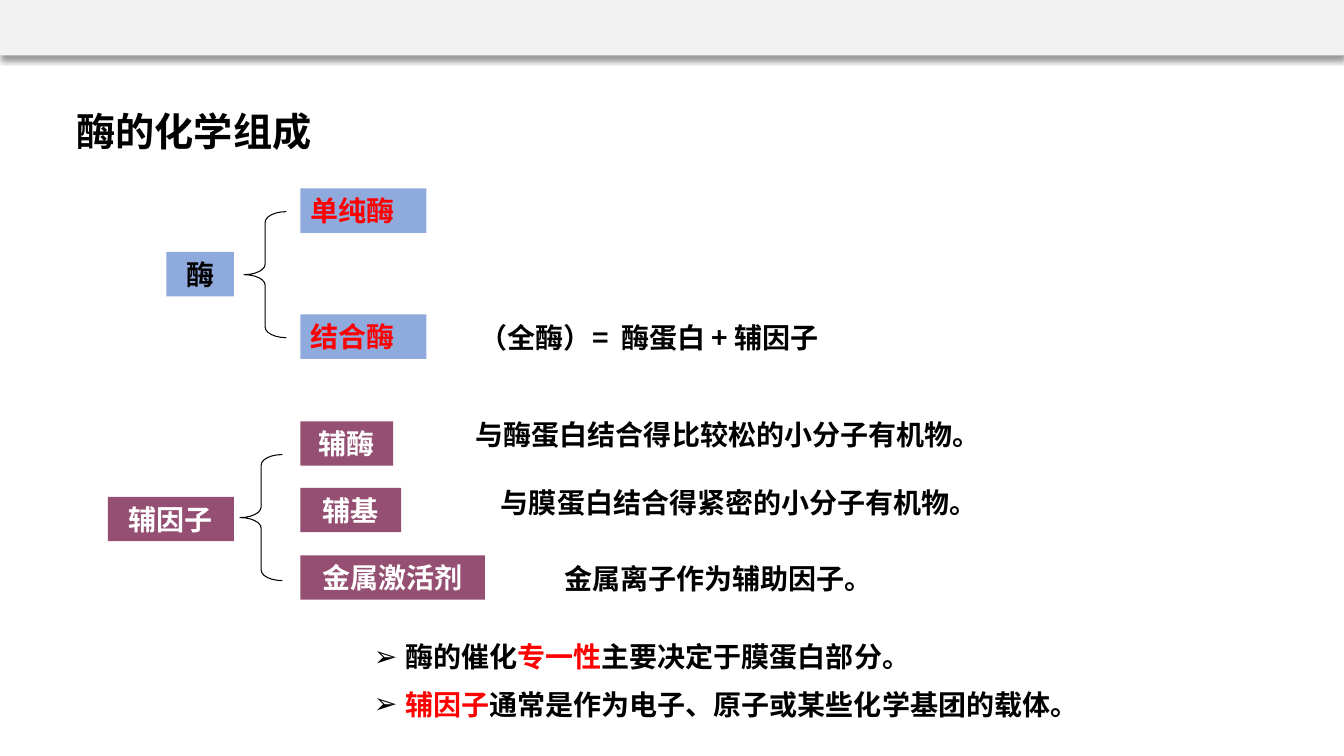
from lxml.etree import SubElement
from pptx import Presentation
from pptx.dml.color import RGBColor
from pptx.enum.shapes import MSO_SHAPE
from pptx.enum.text import MSO_ANCHOR, PP_ALIGN
from pptx.oxml.ns import qn
from pptx.util import Pt

PX = 9144  # 100 px to the inch
CJK_FONT = "Noto Sans CJK SC"
BLACK, WHITE, RED = "000000", "FFFFFF", "FF0000"
BLUE, PLUM, GREY = "8FAADC", "954F72", "F2F2F2"
LABEL_HEIGHT = 44


def px(*lengths):
    return [round(length * PX) for length in lengths]


def color(value):
    return RGBColor.from_string(value)


def add_run(paragraph, text, size=20, font=CJK_FONT, fill=BLACK):
    run = paragraph.add_run()
    run.text = text
    run.font.size, run.font.name, run.font.bold = Pt(size), font, True
    run.font.color.rgb = color(fill)
    SubElement(run.font._element, qn("a:ea"), typeface=CJK_FONT)


def write(shape, text, align=PP_ALIGN.LEFT, **run_format):
    frame = shape.text_frame
    frame.word_wrap = True
    frame.vertical_anchor = MSO_ANCHOR.MIDDLE
    paragraph = frame.paragraphs[0]
    paragraph.alignment = align
    add_run(paragraph, text, **run_format)


def add_text(slide, box, text, **text_format):
    write(slide.shapes.add_textbox(*px(*box)), text, **text_format)


def add_block(slide, box, fill):
    shape = slide.shapes.add_shape(MSO_SHAPE.RECTANGLE, *px(*box))
    shape.shadow.inherit = False
    shape.fill.solid()
    shape.fill.fore_color.rgb = color(fill)
    shape.line.fill.background()
    return shape


def add_label(slide, box, text, block, **text_format):
    write(add_block(slide, box, block), text, **text_format)


def add_brace(slide, box):
    brace = slide.shapes.add_shape(MSO_SHAPE.LEFT_BRACE, *px(*box))
    brace.shadow.inherit = False
    brace.adjustments[0], brace.adjustments[1] = 0.25, 0.5
    brace.fill.background()
    brace.line.color.rgb = color(BLACK)
    brace.line.width = Pt(0.75)


def add_header(slide, box):
    """Grey band with a soft shadow below."""
    band = add_block(slide, box, GREY)
    effects = band._element.spPr.find(qn("a:effectLst"))
    shadow = SubElement(effects, qn("a:outerShdw"), blurRad=str(Pt(4)),
                        dist=str(Pt(3)), dir="5400000", algn="t", rotWithShape="0")
    shade = SubElement(shadow, qn("a:srgbClr"), val=BLACK)
    SubElement(shade, qn("a:alpha"), val="40000")


def add_enzyme_tree(slide, box):
    """Enzyme and its two kinds."""
    left, top, width, height = box
    middle = top + (height - LABEL_HEIGHT) // 2
    add_label(slide, (left, middle + 1, 67, LABEL_HEIGHT), "酶", BLUE, align=PP_ALIGN.CENTER)
    add_brace(slide, (left + 77, top + 23, 42, 125))
    kinds = [("单纯酶", "Times New Roman"), ("结合酶", CJK_FONT)]
    for index, (kind, font) in enumerate(kinds):
        kind_box = (left + 133, top + 125 * index, 125, LABEL_HEIGHT)
        add_label(slide, kind_box, kind, BLUE, font=font, fill=RED)
    add_text(slide, (left + 301, top + 126, width - 301, LABEL_HEIGHT),
             "（全酶）=  酶蛋白 + 辅因子")


def add_cofactor_tree(slide, box):
    """Cofactor and its three kinds, each with a definition."""
    left, top, width, _ = box
    add_label(slide, (left, top + 75, 125, LABEL_HEIGHT), "辅因子", PLUM,
              align=PP_ALIGN.CENTER, fill=WHITE)
    add_brace(slide, (left + 131, top + 33, 42, 125))
    kinds = [  # label, label width, definition, its left and top offsets
        ("辅酶", 92, "与酶蛋白结合得比较松的小分子有机物。", 355, -9),
        ("辅基", 100, "与膜蛋白结合得紧密的小分子有机物。", 380, -8),
        ("金属激活剂", 183, "金属离子作为辅助因子。", 443, 1),
    ]
    for index, (kind, kind_width, definition, indent, shift) in enumerate(kinds):
        row = top + round(66.5 * index)
        add_label(slide, (left + 191, row, kind_width, LABEL_HEIGHT), kind, PLUM,
                  align=PP_ALIGN.CENTER, fill=WHITE)
        add_text(slide, (left + indent, row + shift, width - indent, LABEL_HEIGHT), definition)


def add_notes(slide, box):
    """Arrow bullets with red key terms."""
    frame = slide.shapes.add_textbox(*px(*box)).text_frame
    frame.word_wrap = True
    frame.vertical_anchor = MSO_ANCHOR.MIDDLE
    points = [
        [("酶的催化", BLACK), ("专一性", RED), ("主要决定于膜蛋白部分。", BLACK)],
        [("辅因子", RED), ("通常是作为电子、原子或某些化学基团的载体。", BLACK)],
    ]
    for index, runs in enumerate(points):
        paragraph = frame.add_paragraph() if index else frame.paragraphs[0]
        if index:
            paragraph.space_before = Pt(10)
        properties = paragraph._p.get_or_add_pPr()
        properties.set("marL", str(31 * PX))
        properties.set("indent", str(-31 * PX))
        bullet_color = SubElement(properties, qn("a:buClr"))
        SubElement(bullet_color, qn("a:srgbClr"), val=BLACK)
        SubElement(properties, qn("a:buFont"), typeface="Arial")
        SubElement(properties, qn("a:buChar"), char="➢")
        for text, fill in runs:
            add_run(paragraph, text, fill=fill)


def main():
    presentation = Presentation()
    presentation.slide_width, presentation.slide_height = px(1333, 750)
    slide = presentation.slides.add_slide(presentation.slide_layouts[6])
    add_header(slide, (0, 0, 1333, 55))
    add_text(slide, (66, 101, 271, 57), "酶的化学组成", size=28, font="Arial")
    add_enzyme_tree(slide, (165, 187, 830, 169))
    add_cofactor_tree(slide, (107, 418, 999, 177))
    add_notes(slide, (361, 628, 725, 94))
    presentation.save("out.pptx")


if __name__ == "__main__":
    main()
